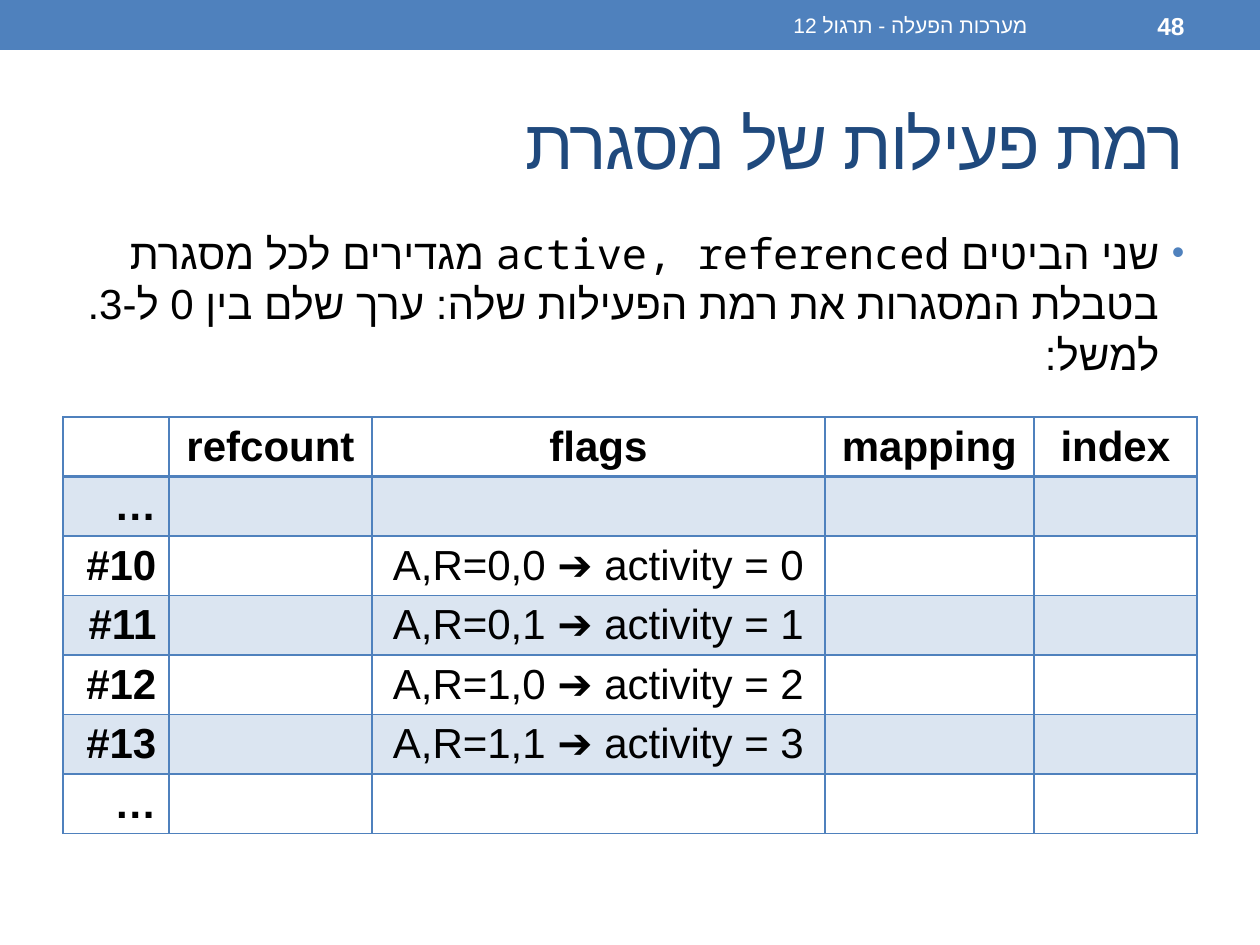
from dataclasses import dataclass
from typing import Optional

from lxml import etree
from pptx import Presentation
from pptx import util as u
from pptx.dml.color import RGBColor
from pptx.enum import shapes, text
from pptx.oxml import ns

PX_PER_INCH = 126
COLORS = {"accent": "4F81BD", "title": "1F497D", "white": "FFFFFF", "black": "000000"}
HEBREW_FONT = "Noto Sans Mono"
TABLE_FONT = "Arial"
COLUMN_WIDTHS = [106, 203, 453, 209, 163]
ROW_HEIGHT = 59
HEADINGS = ["", "refcount", "flags", "mapping", "index"]


@dataclass
class Area:
    left: int
    top: int
    width: int
    height: int

    def emu(self) -> list[u.Emu]:
        return [px(n) for n in (self.left, self.top, self.width, self.height)]


@dataclass
class Style:
    size: int
    color: str
    font: str = HEBREW_FONT
    bold: bool = False
    spacing: Optional[int] = None


@dataclass
class Frame:
    label: str
    flags: str = ""


FRAMES = [
    Frame("…"),
    *(Frame(f"#{10 + n}", f"A,R={n // 2},{n % 2} ➔ activity = {n}") for n in range(4)),
    Frame("…"),
]


def px(length: int) -> u.Emu:
    return u.Emu(round(length * 914400 / PX_PER_INCH))


def rgb(name: str) -> RGBColor:
    return RGBColor.from_string(COLORS[name])


def add_child(parent, tag: str, **attributes: str):
    child = etree.SubElement(parent, ns.qn(tag))
    for key, value in attributes.items():
        child.set(key, value)
    return child


def format_runs(para, style: Style) -> None:
    for span in para.runs:
        span.font.size = u.Pt(style.size)
        span.font.bold = style.bold
        span.font.name = style.font
        span.font.color.rgb = rgb(style.color)
        properties = span._r.get_or_add_rPr()
        add_child(properties, "a:cs", typeface=TABLE_FONT)
        if style.spacing is not None:
            properties.set("spc", str(style.spacing))


def write_hebrew(box, area: Area, words: str, style: Style, anchor=text.MSO_ANCHOR.MIDDLE):
    box.left, box.top, box.width, box.height = area.emu()
    frame = box.text_frame
    frame.word_wrap = True
    frame.auto_size = text.MSO_AUTO_SIZE.NONE
    frame.vertical_anchor = anchor
    frame.text = words
    para = frame.paragraphs[0]
    para.alignment = text.PP_ALIGN.RIGHT
    para._p.get_or_add_pPr().set("rtl", "1")
    format_runs(para, style)
    return para


def add_bullet(para) -> None:
    properties = para._p.get_or_add_pPr()
    indent = px(25)
    properties.set("marL", str(indent))
    properties.set("indent", str(-indent))
    add_child(add_child(properties, "a:buClr"), "a:srgbClr", val=COLORS["accent"])
    add_child(properties, "a:buSzPct", val="85000")
    add_child(properties, "a:buFont", typeface=TABLE_FONT)
    add_child(properties, "a:buChar", char="•")
    para.space_before = u.Pt(0)


def style_cell(cell, row: int) -> None:
    properties = cell._tc.get_or_add_tcPr()
    heavy = {0: "a:lnB", 1: "a:lnT"}.get(row)
    for side in ("a:lnL", "a:lnR", "a:lnT", "a:lnB"):
        line = add_child(properties, side, w=str(u.Pt(2 if side == heavy else 1)))
        add_child(add_child(line, "a:solidFill"), "a:srgbClr", val=COLORS["accent"])
    if row % 2:
        cell.fill.solid()
        cell.fill.fore_color.rgb = rgb("accent")
        add_child(properties.find(ns.qn("a:solidFill"))[0], "a:alpha", val="20000")
    else:
        cell.fill.background()


def add_frame_table(page, left: int, top: int) -> None:
    rows = [HEADINGS] + [[item.label, "", item.flags, "", ""] for item in FRAMES]
    area = Area(left, top, sum(COLUMN_WIDTHS), ROW_HEIGHT * len(rows))
    table = page.shapes.add_table(len(rows), len(HEADINGS), *area.emu()).table
    table.horz_banding = False
    for column, width in zip(table.columns, COLUMN_WIDTHS):
        column.width = px(width)
    for r, values in enumerate(rows):
        for c, value in enumerate(values):
            cell = table.cell(r, c)
            style_cell(cell, r)
            if value:
                cell.text_frame.text = value
                para = cell.text_frame.paragraphs[0]
                para.alignment = text.PP_ALIGN.RIGHT if c == 0 else text.PP_ALIGN.CENTER
                format_runs(para, Style(24, "black", TABLE_FONT, bold=r == 0 or c == 0))


def add_header(page) -> None:
    bar = page.shapes.add_shape(shapes.MSO_SHAPE.RECTANGLE, *Area(0, 0, 1260, 50).emu())
    bar.shadow.inherit = False
    bar.fill.solid()
    bar.fill.fore_color.rgb = rgb("accent")
    bar.line.fill.background()
    for area, words, style in (
        (Area(473, 3, 567, 45), "מערכות הפעלה - תרגול 12", Style(12, "white")),
        (Area(1050, 3, 147, 45), "48", Style(14, "white", bold=True)),
    ):
        write_hebrew(page.shapes.add_textbox(*area.emu()), area, words, style)


def main() -> None:
    deck = Presentation()
    deck.slide_width, deck.slide_height = px(1260), px(945)
    page = deck.slides.add_slide(deck.slide_layouts[1])
    add_header(page)
    write_hebrew(page.shapes.title, Area(63, 73, 1134, 136), "רמת פעילות של מסגרת",
                 Style(40, "title", spacing=-100))
    bullet = write_hebrew(
        page.placeholders[1], Area(63, 221, 1134, 672),
        "שני הביטים active, referenced מגדירים לכל מסגרת בטבלת המסגרות "
        "את רמת הפעילות שלה: ערך שלם בין 0 ל-3. למשל:",
        Style(24, "black"), text.MSO_ANCHOR.TOP)
    add_bullet(bullet)
    add_frame_table(page, 63, 417)
    deck.save("out.pptx")


if __name__ == "__main__":
    main()
